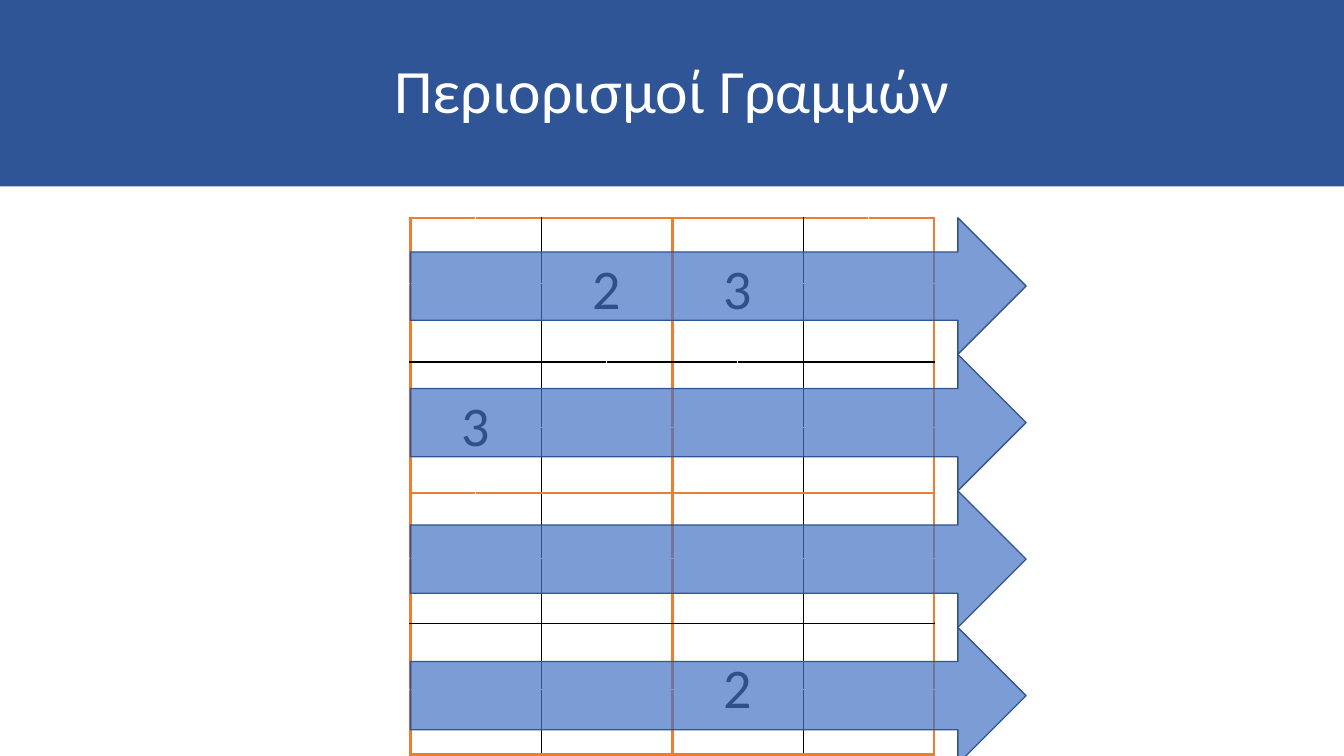
from dataclasses import dataclass

from lxml.etree import SubElement
from pptx import Presentation
from pptx.dml.color import RGBColor
from pptx.enum.shapes import MSO_SHAPE
from pptx.enum.text import MSO_ANCHOR, PP_ALIGN
from pptx.oxml import parse_xml
from pptx.oxml.ns import nsdecls, qn
from pptx.util import Cm, Pt


@dataclass(frozen=True)
class Theme:
    font: str = "Calibri"
    title_size: int = 44
    digit_size: int = 40
    banner: str = "2F5597"
    white: str = "FFFFFF"
    black: str = "000000"
    box_line: str = "ED7D31"
    arrow: str = "4472C4"
    arrow_line: str = "325491"
    arrow_alpha: int = 70


@dataclass(frozen=True)
class Clue:
    row: int
    col: int
    digit: str


THEME = Theme()
WIDTH, HEIGHT = 33.87, 19.05
LEFT, TOP = 10.34, 5.49
HALF = 1.65  # each puzzle square spans two table rows and columns
TALL_HALF = 1.98
ARROW_W, ARROW_H = 15.52, 3.44
SIZE = 4
CLUES = [Clue(0, 1, "2"), Clue(0, 2, "3"), Clue(1, 0, "3"), Clue(3, 2, "2")]


def rgb(color: str) -> RGBColor:
    return RGBColor.from_string(color)


def style(p, size: int, color: str) -> None:
    p.alignment = PP_ALIGN.CENTER
    p.font.name = THEME.font
    p.font.size = Pt(size)
    p.font.color.rgb = rgb(color)


def add_title(slide, text: str) -> None:
    sp = slide.shapes.add_shape(MSO_SHAPE.RECTANGLE, 0, 0, Cm(WIDTH), Cm(4.7))
    sp.shadow.inherit = False
    sp.fill.solid()
    sp.fill.fore_color.rgb = rgb(THEME.banner)
    sp.line.fill.background()
    tf = sp.text_frame
    tf.word_wrap = True
    tf.vertical_anchor = MSO_ANCHOR.MIDDLE
    p = tf.paragraphs[0]
    p.text = text
    p.line_spacing = 0.9
    style(p, THEME.title_size, THEME.white)


def grid_line(index: int) -> tuple[str, float]:
    """Boxes are orange, squares black, half squares white."""
    if index % 4 == 0:
        return THEME.box_line, 2.25
    return (THEME.black if index % 2 == 0 else THEME.white), 1


def set_borders(cell, row: int, col: int, span: int, merged: bool) -> None:
    sides = {"L": col, "R": col + span, "T": row, "B": row + span}
    position = 0
    for side, index in sides.items():
        if merged and index % 2:
            continue
        color, width = grid_line(index)
        ln = parse_xml(
            f'<a:ln{side} {nsdecls("a")} w="{Pt(width)}"><a:solidFill>'
            f'<a:srgbClr val="{color}"/></a:solidFill></a:ln{side}>')
        cell._tc.get_or_add_tcPr().insert(position, ln)
        position += 1


def add_puzzle(slide, clues: list[Clue]) -> None:
    n = 2 * SIZE
    table = slide.shapes.add_table(
        n, n, Cm(LEFT), Cm(TOP), Cm(n * HALF), Cm(n * HALF)).table
    table.first_row = False
    table.horz_banding = False
    for i in range(n):
        table.columns[i].width = Cm(HALF)
        table.rows[i].height = Cm(TALL_HALF if i == 1 else HALF)

    # Given digits fill a whole square
    for clue in clues:
        cell = table.cell(2 * clue.row, 2 * clue.col)
        cell.merge(table.cell(2 * clue.row + 1, 2 * clue.col + 1))
        cell.vertical_anchor = MSO_ANCHOR.MIDDLE
        p = cell.text_frame.paragraphs[0]
        p.text = clue.digit
        style(p, THEME.digit_size, THEME.black)

    for row in range(n):
        for col in range(n):
            cell = table.cell(row, col)
            cell.fill.background()
            span = 2 if cell.is_merge_origin else 1
            set_borders(cell, row, col, span, cell.is_merge_origin or cell.is_spanned)


def add_row_arrow(slide, row: int) -> None:
    sp = slide.shapes.add_shape(
        MSO_SHAPE.RIGHT_ARROW, Cm(LEFT), Cm(TOP + row * ARROW_H),
        Cm(ARROW_W), Cm(ARROW_H))
    sp.shadow.inherit = False
    sp.fill.solid()
    sp.fill.fore_color.rgb = rgb(THEME.arrow)
    color = sp._element.spPr.find(qn("a:solidFill"))[0]
    SubElement(color, qn("a:alpha"), val=str(THEME.arrow_alpha * 1000))
    sp.line.color.rgb = rgb(THEME.arrow_line)
    sp.line.width = Pt(1)


def main() -> None:
    prs = Presentation()
    prs.slide_width, prs.slide_height = Cm(WIDTH), Cm(HEIGHT)
    slide = prs.slides.add_slide(prs.slide_layouts[6])
    add_title(slide, "Περιορισμοί Γραμμών")
    add_puzzle(slide, CLUES)
    # One arrow along each puzzle row
    for row in range(SIZE):
        add_row_arrow(slide, row)
    prs.save("out.pptx")


if __name__ == "__main__":
    main()
